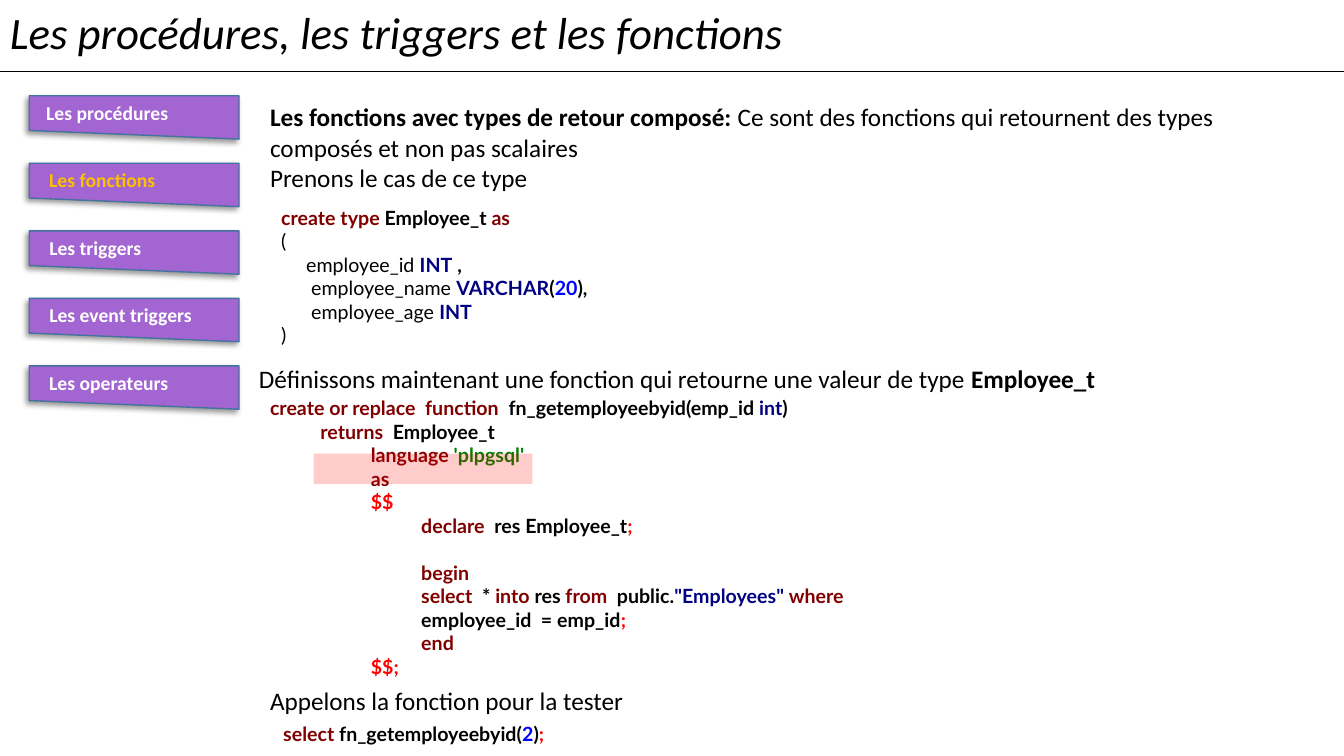
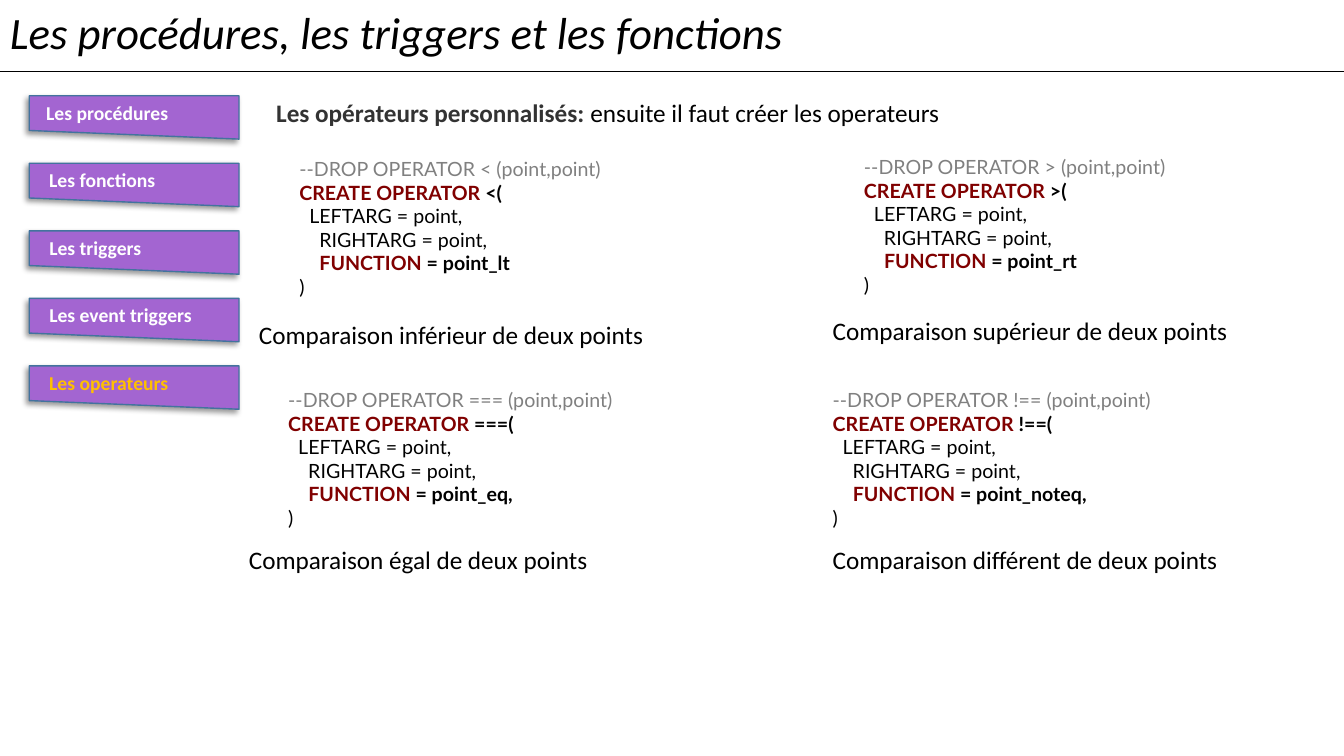
from typing import NamedTuple

from pptx import Presentation
from pptx.dml.color import RGBColor
from pptx.enum.shapes import MSO_CONNECTOR, MSO_SHAPE
from pptx.enum.text import MSO_AUTO_SIZE
from pptx.oxml.xmlchemy import OxmlElement
from pptx.slide import Slide
from pptx.util import Inches, Pt

BLACK = RGBColor(0x00, 0x00, 0x00)
WHITE = RGBColor(0xFF, 0xFF, 0xFF)
CHARCOAL = RGBColor(0x33, 0x33, 0x33)
GRAY = RGBColor(0x80, 0x80, 0x80)
PURPLE = RGBColor(0xA3, 0x65, 0xD1)
BORDER = RGBColor(0x43, 0x73, 0x9E)
GOLD = RGBColor(0xFF, 0xC0, 0x00)
MAROON = RGBColor(0x80, 0x00, 0x00)
NAVY = RGBColor(0x00, 0x00, 0x80)
BLUE = RGBColor(0x00, 0x00, 0xFF)
GREEN = RGBColor(0x00, 0x80, 0x00)
RED = RGBColor(0xFF, 0x00, 0x00)

BODY_FONT = "Calibri"
CODE_FONT = "Lato"
SLIDE_WIDTH = 13.33
NAV_TOP = 0.95
NAV_STEP = 0.67


class Run(NamedTuple):
    text: str
    color: RGBColor = BLACK
    bold: bool = False
    italic: bool = False


class Line(NamedTuple):
    runs: list[Run]
    level: int = 0
    space_before: float = 0


class Box(NamedTuple):
    left: float
    top: float
    width: float
    height: float


class NavItem(NamedTuple):
    text: str
    width: float
    left: float = 0.39


class Operator(NamedTuple):
    symbol: str
    function: str
    caption: str
    code_box: Box
    caption_box: Box


NAV_ITEMS = [
    NavItem("Les procédures", 1.42, 0.36),
    NavItem("Les fonctions", 1.26),
    NavItem("Les triggers", 1.12),
    NavItem("Les event triggers", 1.62),
    NavItem("Les operateurs", 1.43),
]

OPERATORS = [
    Operator("<", "point_lt", "Comparaison inférieur de deux points",
             Box(2.87, 1.51, 3.42, 1.51), Box(2.47, 3.12, 4.06, 0.4)),
    Operator(">", "point_rt", "Comparaison supérieur de deux points",
             Box(8.47, 1.49, 3.45, 1.51), Box(8.16, 3.08, 4.17, 0.4)),
    Operator("===", "point_eq,", "Comparaison égal de deux points",
             Box(2.76, 3.8, 3.65, 1.51), Box(2.37, 5.35, 3.6, 0.4)),
    Operator("!==", "point_noteq,", "Comparaison différent de deux points",
             Box(8.16, 3.8, 3.65, 1.51), Box(8.16, 5.35, 4.07, 0.4)),
]


def bold(text: str, color: RGBColor = BLACK) -> Run:
    return Run(text, color, True)


def keyword(text: str) -> Run:
    return bold(text, MAROON)


TYPE_CODE = [
    Line([keyword("create type "), bold("Employee_t "), keyword("as")]),
    Line([Run("(")]),
    Line([Run("     employee_id "), bold("INT", NAVY), bold(" ,")]),
    Line([Run("      employee_name "), bold("VARCHAR", NAVY), bold("("),
          bold("20", BLUE), bold("),")]),
    Line([Run("      employee_age "), bold("INT", NAVY)]),
    Line([Run(")")]),
]

FUNCTION_CODE = [
    Line([keyword("create or replace  function  "), bold("fn_getemployeebyid(emp_id "),
          bold("int", NAVY), bold(")")]),
    Line([keyword("returns  "), bold("Employee_t")], 1),
    Line([keyword("language "), bold("'plpgsql'", GREEN)], 2),
    Line([keyword("as")], 2),
    Line([bold("$$", RED)], 2),
    Line([keyword("declare  "), bold("res Employee_t"), bold(";", RED)], 3),
    Line([keyword("begin")], 3, 16.8),
    Line([keyword("select"), bold("  * "), keyword("into"), bold(" res "),
          keyword("from  "), bold("public."), bold('"Employees" ', NAVY),
          keyword("where  "), bold("employee_id  = emp_id"), bold(";", RED)], 3),
    Line([keyword("end")], 3),
    Line([bold("$$;", RED)], 2),
]

CALL_CODE = [
    Line([keyword("select "), bold("fn_getemployeebyid("), bold("2", BLUE),
          bold(")"), bold(";", RED)]),
]


def operator_code(op: Operator) -> list[Line]:
    return [
        Line([Run(f"--DROP OPERATOR {op.symbol} (point,point)", GRAY)]),
        Line([keyword("CREATE OPERATOR"), bold(f" {op.symbol}(")]),
        Line([Run("  LEFTARG = point,")]),
        Line([Run("    RIGHTARG = point,")]),
        Line([Run("    "), keyword("FUNCTION"), bold(f" = {op.function}")]),
        Line([Run(")")]),
    ]


def lengths(box: Box) -> list[Inches]:
    return [Inches(value) for value in box]


def add_text(s: Slide, box: Box, lines: list[Line], size: float = 18,
             font: str = BODY_FONT, wrap: bool = True) -> None:
    tf = s.shapes.add_textbox(*lengths(box)).text_frame
    tf.word_wrap = wrap
    tf.auto_size = MSO_AUTO_SIZE.SHAPE_TO_FIT_TEXT
    for i, line in enumerate(lines):
        p = tf.paragraphs[0] if i == 0 else tf.add_paragraph()
        if line.level:
            p.level = line.level
            pPr = p._p.get_or_add_pPr()
            pPr.set("marL", str(Inches(0.5 * line.level)))
            pPr.set("indent", "0")
        if line.space_before:
            p.space_before = Pt(line.space_before)
        for run in line.runs:
            r = p.add_run()
            r.text = run.text
            r.font.name = font
            r.font.size = Pt(size)
            r.font.bold = run.bold
            r.font.italic = run.italic
            r.font.color.rgb = run.color


def add_code(s: Slide, box: Box, lines: list[Line], wrap: bool = True) -> None:
    add_text(s, box, lines, 14, CODE_FONT, wrap)


def add_alpha(color_element, percent: int) -> None:
    alpha = OxmlElement("a:alpha")
    alpha.set("val", str(percent * 1000))
    color_element.append(alpha)


def add_nav_shadow(sp) -> None:
    sp.shadow.inherit = False
    shadow = OxmlElement("a:outerShdw")
    for name, value in (("blurRad", Pt(4)), ("dist", Pt(3)),
                        ("dir", 135 * 60000), ("rotWithShape", 0)):
        shadow.set(name, str(value))
    color = OxmlElement("a:srgbClr")
    color.set("val", str(BLACK))
    add_alpha(color, 40)
    shadow.append(color)
    sp._element.spPr.find(".//{*}effectLst").append(shadow)


def add_nav(s: Slide, active: str) -> None:
    for i, item in enumerate(NAV_ITEMS):
        top = NAV_TOP + i * NAV_STEP
        sp = s.shapes.add_shape(MSO_SHAPE.FLOWCHART_MANUAL_INPUT,
                                *lengths(Box(0.29, top, 2.08, 0.43)))
        sp.rotation = 180
        sp._element.spPr.xfrm.set("flipH", "1")
        sp.fill.solid()
        sp.fill.fore_color.rgb = PURPLE
        sp.line.color.rgb = BORDER
        sp.line.width = Pt(1)
        add_nav_shadow(sp)
        color = GOLD if item.text == active else WHITE
        add_text(s, Box(item.left, top, item.width, 0.34),
                 [Line([bold(item.text, color)])], 14, wrap=False)


def add_base_slide(prs, active: str) -> Slide:
    s = prs.slides.add_slide(prs.slide_layouts[6])
    title = Run("Les procédures, les triggers et les fonctions", italic=True)
    add_text(s, Box(0, 0, 8.16, 0.64), [Line([title])], 32, wrap=False)
    rule = s.shapes.add_connector(MSO_CONNECTOR.STRAIGHT, Inches(0), Inches(0.71),
                                  Inches(SLIDE_WIDTH), Inches(0.71))
    rule.line.color.rgb = BLACK
    rule.line.width = Pt(1)
    rule._element.spPr.append(OxmlElement("a:effectLst"))
    add_nav(s, active)
    return s


def add_highlight(s: Slide, box: Box) -> None:
    sp = s.shapes.add_shape(MSO_SHAPE.RECTANGLE, *lengths(box))
    sp.shadow.inherit = False
    sp.fill.solid()
    sp.fill.fore_color.rgb = RED
    add_alpha(sp._element.spPr.find(".//{*}srgbClr"), 20)
    sp.line.fill.background()


def build_functions(prs) -> None:
    s = add_base_slide(prs, "Les fonctions")
    add_text(s, Box(2.58, 0.96, 10.12, 1.01), [
        Line([bold("Les fonctions avec types de retour composé: "),
              Run("Ce sont des fonctions qui retournent des types composés "
                  "et non pas scalaires")]),
        Line([Run("Prenons le cas de ce type")]),
    ])
    add_code(s, Box(2.58, 3.88, 6.67, 2.93), FUNCTION_CODE)
    add_code(s, Box(2.69, 1.99, 6.67, 1.51), TYPE_CODE)
    add_text(s, Box(2.47, 3.56, 9.19, 0.4), [
        Line([Run("Définissons maintenant une fonction qui retourne une valeur de type "),
              bold("Employee_t")]),
    ])
    add_highlight(s, Box(3.11, 4.5, 2.17, 0.3))
    add_code(s, Box(2.71, 7.11, 2.98, 0.34), CALL_CODE, wrap=False)
    add_text(s, Box(2.58, 6.75, 9.19, 0.4),
             [Line([Run("Appelons la fonction pour la tester")])])


def build_operators(prs) -> None:
    s = add_base_slide(prs, "Les operateurs")
    add_text(s, Box(2.64, 0.92, 10.55, 0.4), [
        Line([bold("Les opérateurs personnalisés: ", CHARCOAL),
              Run("ensuite il faut créer les operateurs")]),
    ])
    for op in OPERATORS:
        add_code(s, op.code_box, operator_code(op))
        add_text(s, op.caption_box, [Line([Run(op.caption)])], wrap=False)


def main() -> None:
    prs = Presentation()
    prs.slide_width = Inches(SLIDE_WIDTH)
    prs.slide_height = Inches(7.5)
    build_functions(prs)
    build_operators(prs)
    prs.save("out.pptx")


if __name__ == "__main__":
    main()
